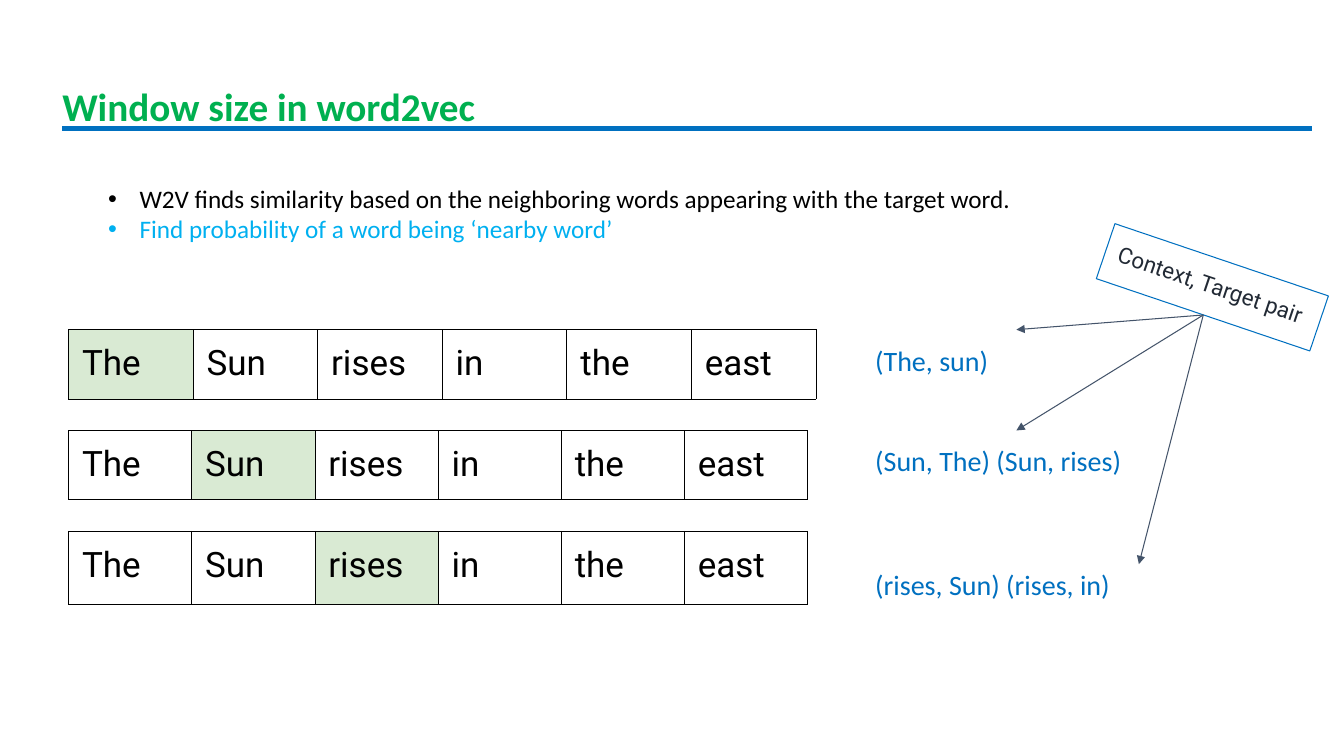
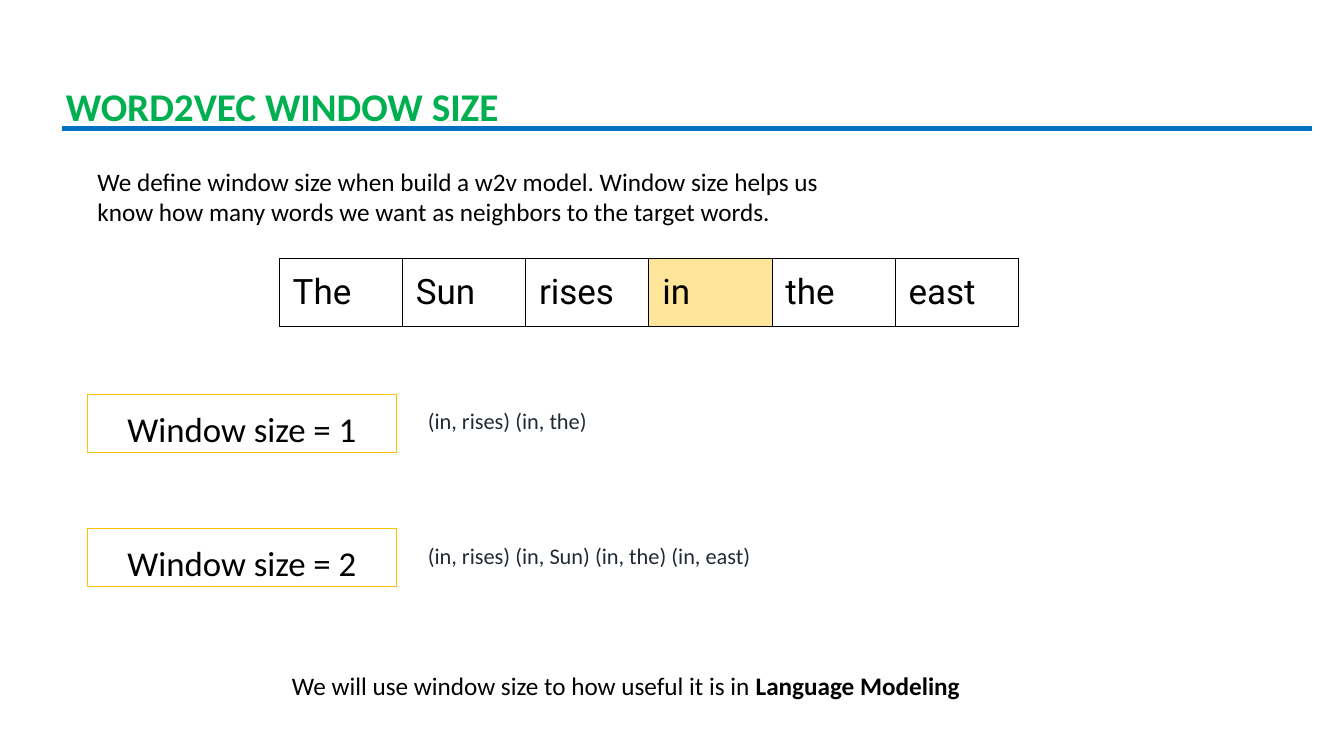
from lxml.etree import SubElement
from pptx import Presentation
from pptx.dml.color import RGBColor as Rgb
from pptx.enum.shapes import MSO_CONNECTOR as Link, MSO_SHAPE as Shape
from pptx.enum.text import MSO_ANCHOR as Anchor, MSO_AUTO_SIZE as Fit, PP_ALIGN as Align
from pptx.oxml.ns import qn
from pptx.util import Pt

HUES = {
    "green": "00B050", "blue": "0070C0", "sky": "00B0F0", "gold": "FFC000",
    "black": "000000", "white": "FFFFFF", "ink": "222A35", "slate": "44546A",
    "mint": "D9EAD3", "sand": "FFE599",
}
HUES = {name: Rgb.from_string(code) for name, code in HUES.items()}
WORDS = ["The", "Sun", "rises", "in", "the", "east"]
PAD = 9.6


def write(shape, text, size, hue, pad=PAD, align=Align.LEFT, face="Calibri"):
    """Fill a shape with evenly styled text, set from its top edge."""
    frame = shape.text_frame
    frame.word_wrap = True
    frame.auto_size = Fit.NONE
    frame.vertical_anchor = Anchor.TOP
    frame.margin_left = frame.margin_right = Pt(pad)
    frame.margin_top = frame.margin_bottom = Pt(pad / 2 if pad < PAD else pad)
    frame.text = text
    for para in frame.paragraphs:
        para.alignment = align
        para.space_before = Pt(0)
        para.font.name = face
        para.font.size = Pt(size)
        para.font.color.rgb = HUES[hue]
    return frame


def strip(slide, left, top, wide, high, pick, hue):
    """Draw the sentence as a one-row table with the target word shaded."""
    table = slide.shapes.add_table(
        1, len(WORDS), Pt(left), Pt(top), Pt(wide * len(WORDS)), Pt(high)).table
    table.first_row = table.horz_banding = False
    for col, word in enumerate(WORDS):
        table.columns[col].width = Pt(wide)
        cell = table.cell(0, col)
        cell.margin_left = cell.margin_right = Pt(PAD)
        cell.margin_top = cell.margin_bottom = Pt(PAD)
        cell.text = word
        font = cell.text_frame.paragraphs[0].font
        font.name = "Roboto"
        font.size = Pt(25)
        font.color.rgb = HUES["black"]
        props = cell._tc.get_or_add_tcPr()
        for side in ("a:lnL", "a:lnR", "a:lnT", "a:lnB"):
            edge = SubElement(props, qn(side), w=str(Pt(0.75)))
            fill = SubElement(edge, qn("a:solidFill"))
            SubElement(fill, qn("a:srgbClr"), val=str(HUES["black"]))
        if word == pick:
            cell.fill.solid()
            cell.fill.fore_color.rgb = HUES[hue]
        else:
            cell.fill.background()


deck = Presentation()
deck.slide_width, deck.slide_height = Pt(960), Pt(540)

# Titles and the rule below them
slides = []
for layout, title, left in [(1, "Window size in word2vec", 44.5),
                            (5, "WORD2VEC WINDOW SIZE", 47)]:
    slide = deck.slides.add_slide(deck.slide_layouts[layout])
    slides.append(slide)
    head = slide.shapes.title
    head.left, head.top, head.width, head.height = Pt(left), Pt(59), Pt(500), Pt(36)
    write(head, title, 28, "green", pad=0).paragraphs[0].font.bold = True
    rule = slide.shapes.add_shape(Shape.RECTANGLE, Pt(44), Pt(89.5), Pt(894), Pt(5))
    rule.shadow.inherit = False
    rule.fill.solid()
    rule.fill.fore_color.rgb = HUES["blue"]
    rule.line.color.rgb = HUES["white"]
    rule.line.width = Pt(1)
pairs, sizes = slides

# Slide 1: context and target pairs
body = pairs.placeholders[1]
body.left, body.top, body.width, body.height = Pt(70), Pt(127.5), Pt(698), Pt(73)
points = write(body, "W2V finds similarity based on the neighboring words appearing "
               "with the target word.\nFind probability of a word being ‘nearby word’",
               18, "black", pad=7.2).paragraphs
points[1].font.color.rgb = HUES["sky"]
for point in points:
    props = point._p.get_or_add_pPr()
    props.set("marL", str(Pt(22.5)))
    props.set("indent", str(-Pt(22.5)))

label = pairs.shapes.add_shape(Shape.RECTANGLE, Pt(785.5), Pt(184.5), Pt(161), Pt(41.5))
label.shadow.inherit = False
label.rotation = 18.7
label.fill.background()
label.line.color.rgb = HUES["blue"]
label.line.width = Pt(0.75)
write(label, "Context, Target pair", 16, "ink", face="Roboto")

rows = [
    # target, pairs, cell width, height, drop of the pairs, arrow end
    ("The", "(The, sun)", 89, 49.5, 0, (726, 235.5)),
    ("Sun", "(Sun, The) (Sun, rises)", 88, 49, 0, (726, 307.5)),
    ("rises", "(rises, Sun) (rises, in)", 88, 52.5, 16, (813.5, 403)),
]
for row, (pick, text, wide, high, drop, (x, y)) in enumerate(rows):
    top = 235.5 + 72 * row
    strip(pairs, 49, top, wide, high, pick, "mint")
    note = pairs.shapes.add_textbox(Pt(615.5), Pt(top + drop), Pt(220), Pt(42))
    write(note, text, 20, "blue")
    arrow = pairs.shapes.add_connector(Link.STRAIGHT, Pt(859.5), Pt(225), Pt(x), Pt(y))
    arrow.begin_connect(label, 2)
    # The label is turned, so its lower side's middle is set by hand
    arrow.begin_x, arrow.begin_y = Pt(859.5), Pt(225)
    arrow.line.color.rgb = HUES["slate"]
    arrow.line.width = Pt(0.75)
    props = arrow._element.spPr
    SubElement(props.find(qn("a:ln")), qn("a:tailEnd"), type="triangle")
    SubElement(props, qn("a:effectLst"))

# Slide 2: window sizes
intro = sizes.shapes.add_textbox(Pt(62.5), Pt(115), Pt(558), Pt(51))
write(intro, "We define window size when build a w2v model. Window size helps us "
      "know how many words we want as neighbors to the target words.",
      18, "black", pad=7.2)
strip(sizes, 199.5, 184.5, 88, 49, "in", "sand")

for row, text in enumerate(["(in, rises) (in, the)",
                            "(in, rises) (in, Sun) (in, the) (in, east)"]):
    top = 281.5 + 96 * row
    box = sizes.shapes.add_shape(Shape.RECTANGLE, Pt(62.5), Pt(top), Pt(220.5), Pt(41.5))
    box.shadow.inherit = False
    box.fill.background()
    box.line.color.rgb = HUES["gold"]
    box.line.width = Pt(0.75)
    write(box, f"Window size = {row + 1}", 24.9, "black", align=Align.CENTER)
    note = sizes.shapes.add_textbox(Pt(296), Pt(top), Pt(446), Pt(41.5))
    write(note, text, 16, "ink")

close = sizes.shapes.add_textbox(Pt(201.5), Pt(475), Pt(512), Pt(29))
line = write(close, "We will use window size to how useful it is in ",
             18, "black", pad=7.2).paragraphs[0]
term = line.add_run()
term.text = "Language Modeling"
term.font.bold = True

deck.save("out.pptx")
